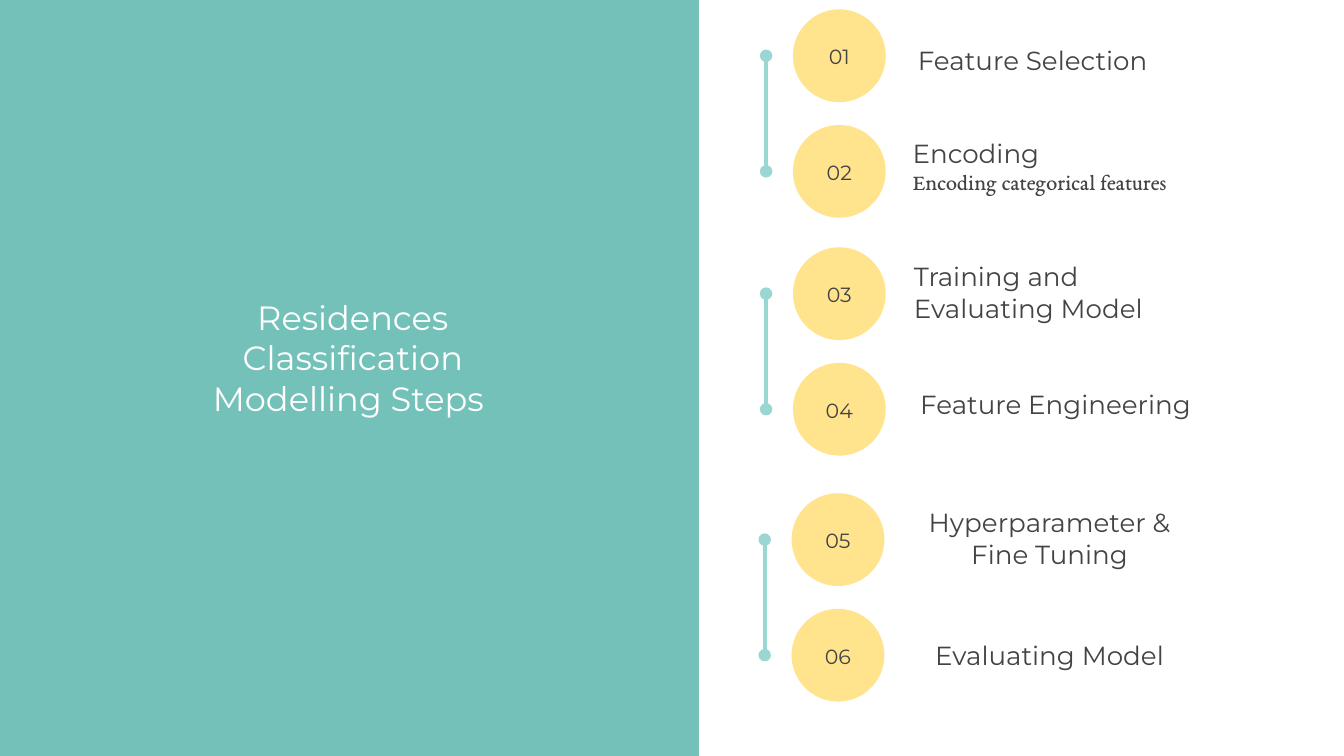
"""Build a slide listing six modelling steps in three linked pairs."""
import pptx
import pptx.util
import pptx.dml.color
import pptx.enum.shapes
import pptx.enum.text
import pptx.oxml.ns
import lxml.etree

WIDE = 10
HIGH = WIDE * 9 / 16
SANS, SERIF = "Montserrat", "EB Garamond"
TEAL, AQUA, GOLD, GREY, WHITE = "74C1B9", "9AD7D2", "FFE48D", "434343", "FFFFFF"
LEFT = pptx.enum.text.PP_ALIGN.LEFT
MID = pptx.enum.text.PP_ALIGN.CENTER
SHAPE = pptx.enum.shapes.MSO_SHAPE

TITLE = "Residences Classification Modelling Steps "
STEPS = [
    (["Feature Selection"], LEFT, (6.83, 0.32, 2, 0.35)),
    (["Encoding", "Encoding categorical features"], LEFT, (6.79, 1.01, 2.28, 0.54)),
    (["Training and Evaluating Model"], LEFT, (6.8, 1.93, 2.03, 0.54)),
    (["Feature Engineering"], MID, (6.77, 2.88, 2.17, 0.37)),
    (["Hyperparameter & Fine Tuning"], MID, (6.79, 3.76, 2.04, 0.54)),
    (["Evaluating Model"], MID, (6.83, 4.75, 1.96, 0.37)),
]
PAIRS = [(5.9, 0.07), (5.9, 1.84), (5.89, 3.67)]
DISC, STEP, GAP = 0.69, 0.86, 0.2
NUM_W, NUM_H, NUM_DROP = 0.32, 0.21, 0.25
INSET = (0, 0.01, 0, 0)

inch = pptx.util.Inches


def tint(code):
    return pptx.dml.color.RGBColor.from_string(code)


def add_form(slide, kind, box, fill):
    form = slide.shapes.add_shape(kind, *map(inch, box))
    form.shadow.inherit = False
    form.fill.solid()
    form.fill.fore_color.rgb = tint(fill)
    form.line.fill.background()


def add_text(slide, box, lines, sizes, align, color=GREY, inset=INSET):
    frame = slide.shapes.add_textbox(*map(inch, box)).text_frame
    frame.word_wrap = True
    (frame.margin_left, frame.margin_top,
     frame.margin_right, frame.margin_bottom) = map(inch, inset)
    frame.text = "\n".join(lines)
    for para, (size, face) in zip(frame.paragraphs, sizes):
        para.alignment = align
        for run in para.runs:
            run.font.size = pptx.util.Pt(size)
            run.font.name = face
            run.font.color.rgb = tint(color)


def add_link(slide, x, low, top):
    link = slide.shapes.add_connector(
        pptx.enum.shapes.MSO_CONNECTOR.STRAIGHT, *map(inch, (x, low, x, top)))
    link.line.color.rgb = tint(AQUA)
    link.line.width = pptx.util.Pt(2.25)
    name = pptx.oxml.ns.qn
    edge = link.line._get_or_add_ln()
    for tag in ("a:headEnd", "a:tailEnd"):
        lxml.etree.SubElement(edge, name(tag), type="oval")
    lxml.etree.SubElement(link._element.spPr, name("a:effectLst"))


def main():
    deck = pptx.Presentation()
    deck.slide_width, deck.slide_height = inch(WIDE), inch(HIGH)
    slide = deck.slides.add_slide(deck.slide_layouts[6])
    add_form(slide, SHAPE.RECTANGLE, (0, 0, 0.52 * WIDE, HIGH), TEAL)
    add_text(slide, (1.37, 2.16, 2.51, 1.01), [TITLE], [(18, SANS)], MID,
             WHITE, (0.1, 0.05, 0.1, 0.05))
    for x, y in PAIRS:
        top = y + DISC / 2
        add_link(slide, x - GAP, top + STEP, top)
    for i, (lines, align, box) in enumerate(STEPS):
        x, y = PAIRS[i // 2]
        y += i % 2 * STEP
        add_form(slide, SHAPE.OVAL, (x, y, DISC, DISC), GOLD)
        spot = (x + (DISC - NUM_W) / 2, y + NUM_DROP, NUM_W, NUM_H)
        add_text(slide, spot, [f"{i + 1:02}"], [(11, SANS)], MID)
        add_text(slide, box, lines, [(14, SANS), (12, SERIF)], align)
    deck.save("out.pptx")


if __name__ == "__main__":
    main()
